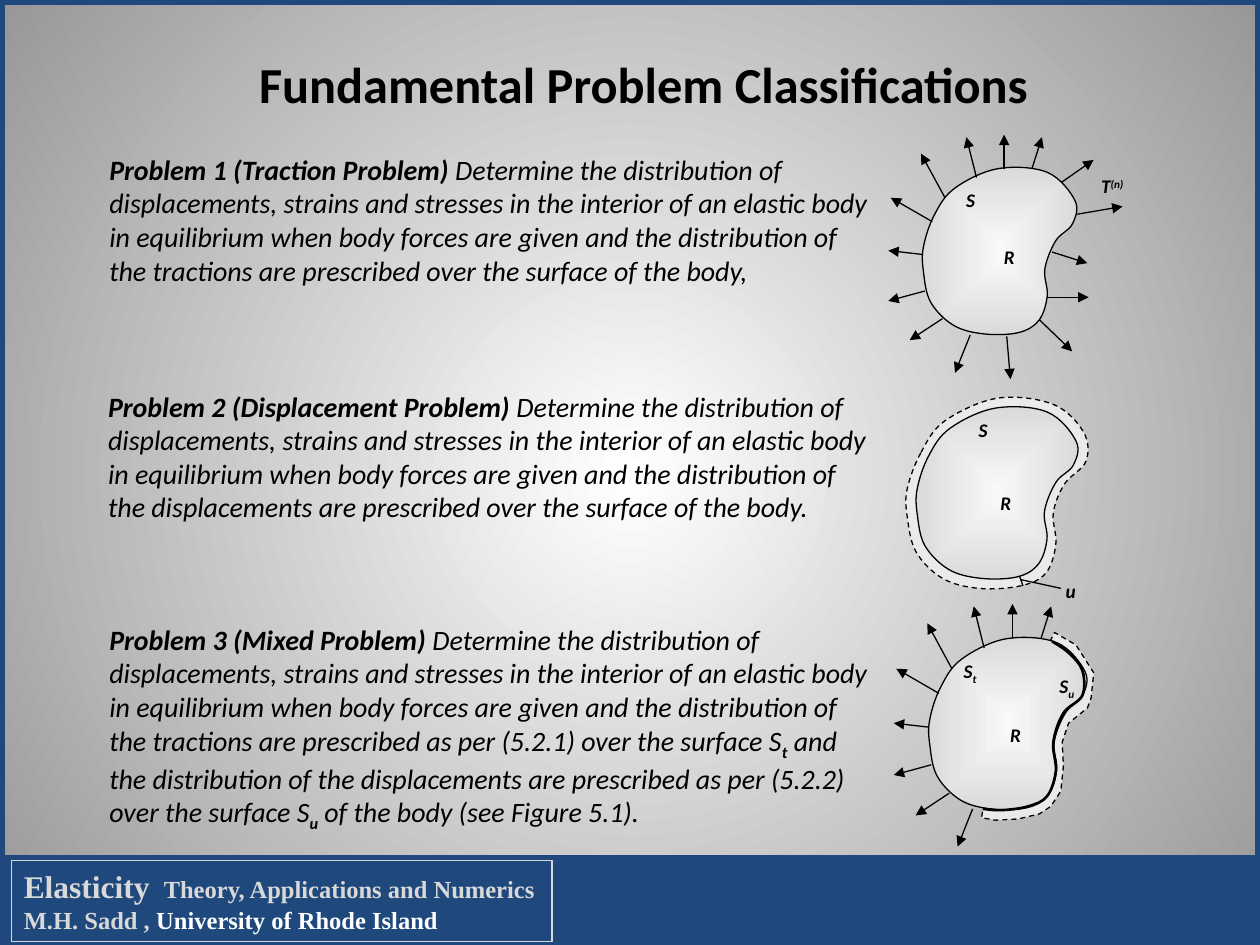
from dataclasses import dataclass, field
from typing import Any, NamedTuple

from lxml.etree import SubElement
from pptx import Presentation
from pptx.dml.color import RGBColor
from pptx.enum.dml import MSO_LINE
from pptx.enum.shapes import MSO_CONNECTOR as CONNECTOR, MSO_SHAPE
from pptx.enum.text import MSO_ANCHOR as ANCHOR, MSO_AUTO_SIZE as AUTO_SIZE, PP_ALIGN
from pptx.oxml.ns import qn
from pptx.util import Pt

BLACK, NAVY, SILVER, WHITE, HALO = "000000", "1F497D", "D9D9D9", "FFFFFF", "EAEAEA"
Point = tuple[float, float]
Line = tuple[float, float, float, float]


class Box(NamedTuple):
    left: float
    top: float
    width: float
    height: float


@dataclass
class Run:
    text: str
    format: dict[str, Any] = field(default_factory=dict)
    color: str = BLACK
    attributes: dict[str, str] = field(default_factory=dict)


class Curve(NamedTuple):
    """Knots of a smooth curve on a grid of the given width and height."""
    grid: Point
    knots: list[Point]
    closed: bool = True


BODY_FONT = {"name": "Calibri", "size": Pt(16), "bold": False, "italic": True}
LABEL_FONT = {"name": "Calibri", "size": Pt(11), "bold": True, "italic": True}
LABEL_SPACING = {"line_spacing": 1.15, "space_after": Pt(10)}
FOOTER_FONT = {"name": "Times New Roman", "size": Pt(14), "bold": True}
BOLD = {"bold": True}
SUBSCRIPT, SUPERSCRIPT = {"baseline": "-25000"}, {"baseline": "30000"}

COMMON = ("Determine the distribution of displacements, strains and stresses in the interior of an "
          "elastic body in equilibrium when body forces are given and the distribution of the ")
PROBLEMS = [
    (Box(55.4, 83.5, 448.6, 104.4), [
        Run("Problem 1 (Traction Problem)", BOLD),
        Run(f" {COMMON}tractions are prescribed over the surface of the body,")]),
    (Box(54.7, 218.9, 450.7, 85), [
        Run("Problem 2 (Displacement Problem) ", BOLD),
        Run(f"{COMMON}displacements are prescribed over the surface of the body.")]),
    (Box(55.4, 352.1, 450.7, 123.8), [
        Run("Problem 3 (Mixed Problem)", BOLD),
        Run(f" {COMMON}tractions are prescribed as per (5.2.1) over the surface S"),
        Run("t", BOLD, attributes=SUBSCRIPT),
        Run(" and the distribution of the displacements are prescribed as per (5.2.2) "
            "over the surface S"),
        Run("u", BOLD, attributes=SUBSCRIPT),
        Run(" of the body (see Figure 5.1).")]),
]
LABELS = [
    (Box(566.6, 134.6, 21.6, 20.2), [Run("R")]),
    (Box(545, 102.2, 21.6, 20.2), [Run("S")]),
    (Box(622.1, 94.3, 34.6, 25.2), [Run("T"), Run("(n)", attributes=SUPERSCRIPT)]),
    (Box(564.5, 275, 22.3, 20.9), [Run("R")]),
    (Box(552.2, 233.3, 22.3, 20.9), [Run("S")]),
    (Box(601.9, 325.4, 22.3, 21.6), [Run("u")]),
    (Box(570.2, 407.5, 22.3, 20.9), [Run("R")]),
    (Box(598.3, 379.4, 25.2, 23), [Run("S"), Run("u", attributes=SUBSCRIPT)]),
    (Box(543.6, 370.8, 25.2, 24.5), [Run("S"), Run("t", attributes=SUBSCRIPT)]),
]

BODY_CURVE = Curve((131, 139), [
    (11, 40), (28, 18), (64, 2), (105, 5), (128, 28), (126, 47), (112, 61), (103, 84),
    (105, 106), (98, 126), (81, 136), (52, 137), (27, 130), (8, 111), (2, 86), (2, 66)])
HALO_CURVE = Curve((147, 154), [
    (13, 45), (32, 20), (74, 2), (118, 7), (142, 29), (144, 52), (127, 70), (118, 93),
    (120, 118), (112, 141), (92, 151), (59, 153), (30, 145), (9, 124), (2, 96), (2, 74)])
FIXED_EDGE = Curve((81, 134), [
    (55, 0), (68, 9), (79, 23), (79, 43), (64, 57), (56, 80), (58, 103), (51, 123),
    (36, 131), (15, 134), (0, 133)], closed=False)
MIXED_HALO = [
    (562.3, 458.6), (585.4, 458.6), (599.8, 445), (599.8, 419.8), (609.1, 401.8), (617, 391),
    (610.6, 375.8), (599, 368.6), (602.6, 361.4), (614.9, 368.6), (625, 384.5), (623.5, 398.9),
    (621.4, 404.6), (610.6, 413.3), (607, 424.1), (607.7, 437.8), (606.2, 452.2), (600.5, 460.8),
    (594, 465.1), (581.8, 468), (568.8, 468.7), (560.9, 467.3)]
TRACTION_BODY = Box(526.3, 95, 90, 97.2)
MIXED_BODY = Box(529.9, 363.6, 92.2, 100.1)

# Tractions measured from the top left corner of the traction body
TRACTIONS = [
    (63.4, 1.4, 69.1, -16.6), (47.5, 1.4, 47.5, -18), (31.7, 6.5, 25.9, -16.6),
    (13.7, 18, 0, -7.2), (6.5, 31.7, -17.3, 18), (0.7, 50.4, -18.7, 48.2),
    (2.2, 71.3, -18.7, 77), (12.2, 87.1, -6.5, 99.4), (28.1, 96.5, 19.4, 118.1),
    (49, 97.2, 51.1, 121.7), (67.7, 87.8, 86.4, 105.8), (72, 74.9, 95.8, 74.9),
    (74.9, 49, 95, 55.4), (89.3, 27.4, 115.2, 23), (80, 9.4, 98.6, -3.6)]


def rgb(color: str) -> RGBColor:
    return RGBColor.from_string(color)


def apply_format(target: Any, values: dict[str, Any]) -> None:
    for name, value in values.items():
        setattr(target, name, value)


def move(shape: Any, box: Box) -> None:
    apply_format(shape, {name: Pt(value) for name, value in box._asdict().items()})


def fill_path_gradient(owner: Any, fill: Any, kind: str, inner: str, outer: str) -> None:
    """Fill with a gradient that spreads from the centre."""
    fill.gradient()
    for stop, color in zip(fill.gradient_stops, (inner, outer)):
        stop.color.rgb = rgb(color)
    linear = next(owner.element.iter(qn("a:lin")))
    gradient = linear.getparent()
    gradient.remove(linear)
    center = SubElement(SubElement(gradient, qn("a:path"), path=kind), qn("a:fillToRect"))
    for side in "ltrb":
        center.set(side, "50000")


def style(shape: Any, fill: str | None, line: str, width: float, dash: Any = None) -> None:
    shape.shadow.inherit = False
    shape.fill.background()
    if fill:
        shape.fill.solid()
        shape.fill.fore_color.rgb = rgb(fill)
    shape.line.color.rgb = rgb(line)
    apply_format(shape.line, {"width": Pt(width), "dash_style": dash})


def add_runs(paragraph: Any, runs: list[Run], base: dict[str, Any]) -> None:
    for item in runs:
        run = paragraph.add_run()
        run.text = item.text
        apply_format(run.font, base | item.format)
        run.font.color.rgb = rgb(item.color)
        run._r.get_or_add_rPr().attrib.update(item.attributes)


def add_text(slide: Any, box: Box, runs: list[Run], base: dict[str, Any],
             spacing: dict[str, Any], auto_size: AUTO_SIZE) -> None:
    frame = slide.shapes.add_textbox(*map(Pt, box)).text_frame
    apply_format(frame, {"word_wrap": True, "auto_size": auto_size})
    apply_format(frame.paragraphs[0], spacing)
    add_runs(frame.paragraphs[0], runs, base)


def add_polygon(slide: Any, points: list[Point], closed: bool = True) -> Any:
    fine = [(x * 100, y * 100) for x, y in points]
    builder = slide.shapes.build_freeform(*fine[0], scale=Pt(0.01))
    builder.add_line_segments(fine[1:], close=closed)
    return builder.convert_to_shape()


def add_curve(slide: Any, curve: Curve, box: Box) -> Any:
    """Stretch a smooth curve over a box, with one Bézier segment between knots."""
    shape = add_polygon(slide, curve.knots, curve.closed)
    move(shape, box)
    outline = next(shape.element.iter(qn("a:path")))
    outline.clear()
    apply_format(outline, dict(zip("wh", (size * 100 for size in curve.grid))))

    def add_segment(tag: str, *points: Point) -> None:
        segment = SubElement(outline, qn(tag))
        for x, y in points:
            SubElement(segment, qn("a:pt"), x=str(round(x * 100)), y=str(round(y * 100)))

    knots = curve.knots
    padded = [knots[-1], *knots, *knots[:2]] if curve.closed else [knots[0], *knots, knots[-1]]
    add_segment("a:moveTo", knots[0])
    for a, b, c, d in zip(padded, padded[1:], padded[2:], padded[3:]):
        leaving = (b[0] + (c[0] - a[0]) / 6, b[1] + (c[1] - a[1]) / 6)
        arriving = (c[0] - (d[0] - b[0]) / 6, c[1] - (d[1] - b[1]) / 6)
        add_segment("a:cubicBezTo", leaving, arriving, c)
    if curve.closed:
        add_segment("a:close")
    return shape


def add_body(slide: Any, box: Box) -> None:
    shape = add_curve(slide, BODY_CURVE, box)
    style(shape, None, BLACK, 0.75)
    fill_path_gradient(shape, shape.fill, "rect", "F8F8F8", "DADADA")


def add_line(slide: Any, ends: Line, head: bool = True) -> None:
    connector = slide.shapes.add_connector(CONNECTOR.STRAIGHT, *map(Pt, ends))
    connector.line.color.rgb = rgb(BLACK)
    connector.line.width = Pt(0.75)
    if head:
        SubElement(connector.line._get_or_add_ln(), qn("a:tailEnd"), type="triangle")
    SubElement(connector.element.spPr, qn("a:effectLst"))


def add_tractions(slide: Any, body: Box, arrows: list[Line]) -> None:
    across, down = body.width / TRACTION_BODY.width, body.height / TRACTION_BODY.height
    for x1, y1, x2, y2 in arrows:
        add_line(slide, (body.left + x1 * across, body.top + y1 * down,
                         body.left + x2 * across, body.top + y2 * down))


def add_rectangle(slide: Any, box: Box, fill: str | None, line: str, width: float) -> Any:
    shape = slide.shapes.add_shape(MSO_SHAPE.RECTANGLE, *map(Pt, box))
    style(shape, fill, line, width)
    return shape


def add_footer(slide: Any) -> None:
    add_rectangle(slide, Box(0, 0, 720, 540), None, NAVY, 6)
    add_rectangle(slide, Box(0, 489.6, 720, 50.4), NAVY, NAVY, 2)
    frame = add_rectangle(slide, Box(6.5, 491.8, 308.9, 46.1), None, SILVER, 0.75).text_frame
    apply_format(frame, {"word_wrap": False, "vertical_anchor": ANCHOR.TOP,
                         "auto_size": AUTO_SIZE.SHAPE_TO_FIT_TEXT})
    paragraph = frame.paragraphs[0]
    paragraph.alignment = PP_ALIGN.LEFT
    add_runs(paragraph, [Run("Elasticity", {"size": Pt(18)}, SILVER),
                         Run(" ", {"size": Pt(16)}, SILVER, {"spc": "400"}),
                         Run("Theory, Applications and Numerics", color=SILVER)], FOOTER_FONT)
    paragraph.add_line_break()
    add_runs(paragraph, [Run("M.H. Sadd , ", color=SILVER),
                         Run("University of Rhode Island", color=WHITE)], FOOTER_FONT)


def add_title(slide: Any) -> None:
    title = slide.shapes.title
    move(title, Box(119.5, 21.6, 496.8, 51.8))
    title.text_frame.vertical_anchor = ANCHOR.MIDDLE
    title.text_frame.paragraphs[0].alignment = PP_ALIGN.CENTER
    add_runs(title.text_frame.paragraphs[0], [Run("Fundamental Problem Classifications")],
             {"name": "Calibri", "size": Pt(28.8), "bold": True})


def main() -> None:
    presentation = Presentation()
    apply_format(presentation, {"slide_width": Pt(720), "slide_height": Pt(540)})
    slide = presentation.slides.add_slide(presentation.slide_layouts[5])
    fill_path_gradient(slide, slide.background.fill, "circle", WHITE, "979797")
    add_title(slide)
    for box, runs in PROBLEMS:
        add_text(slide, box, runs, BODY_FONT, {}, AUTO_SIZE.SHAPE_TO_FIT_TEXT)

    add_body(slide, TRACTION_BODY)
    add_tractions(slide, TRACTION_BODY, TRACTIONS)

    halo = add_curve(slide, HALO_CURVE, Box(517, 226.1, 105.8, 110.9))
    style(halo, HALO, BLACK, 0.75, MSO_LINE.DASH)
    add_body(slide, Box(522.7, 231.8, 94.3, 100.1))
    add_line(slide, (582.5, 329, 584.6, 334.8), head=False)
    add_line(slide, (583.2, 331.2, 606.2, 336.2), head=False)

    style(add_polygon(slide, MIXED_HALO), HALO, BLACK, 0.75, MSO_LINE.DASH)
    add_body(slide, MIXED_BODY)
    add_tractions(slide, MIXED_BODY, TRACTIONS[:8])
    add_line(slide, (555.8, 462.2, 547.2, 483.8))
    style(add_curve(slide, FIXED_EDGE, Box(561.6, 366.5, 58.3, 96.5)), None, BLACK, 1.5)

    for box, runs in LABELS:
        add_text(slide, box, runs, LABEL_FONT, LABEL_SPACING, AUTO_SIZE.NONE)
    add_footer(slide)
    presentation.save("out.pptx")


if __name__ == "__main__":
    main()
